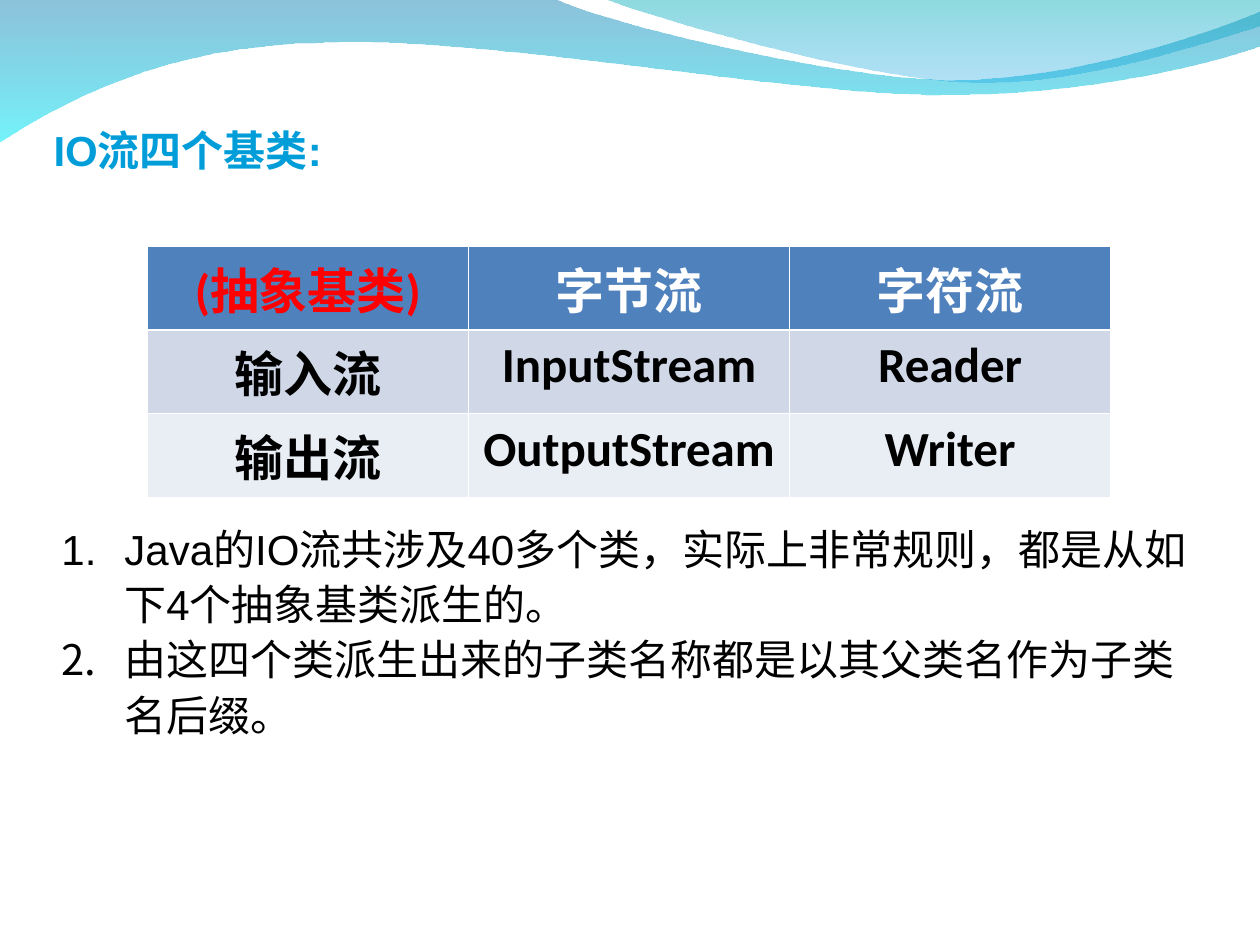
from lxml.etree import SubElement
from pptx import Presentation
from pptx.dml.color import RGBColor
from pptx.enum.text import MSO_AUTO_SIZE as AutoSize, PP_ALIGN as Align
from pptx.oxml.ns import qn
from pptx.util import Cm, Pt

TITLE = "IO流四个基类:"
CLASS_ROWS = [
    ["(抽象基类)", "字节流", "字符流"],
    ["输入流", "InputStream", "Reader"],
    ["输出流", "OutputStream", "Writer"],
]
ROW_FILLS = ["4F81BD", "D0D8E8", "E9EDF4"]
NOTES = [
    "Java的IO流共涉及40多个类，实际上非常规则，都是从如下4个抽象基类派生的。",
    "由这四个类派生出来的子类名称都是以其父类名作为子类名后缀。",
]

# Each segment holds one point (a line) or three points (a cubic curve), in cm.
LONG_WAVE = [
    [(0, -0.03)],
    [(11.18, -0.03)],
    [(12.09, 0.43), (16.87, 1.6), (19.25, 1.6)],
    [(21.67, 1.6), (24.33, 0.66), (25.4, 0.23)],
    [(25.43, 0.91)],
    [(24.97, 1.12), (22.1, 1.93), (18.95, 1.91)],
    [(15.8, 1.91), (9.7, 0.71), (6.53, 0.86)],
    [(3.28, 0.89), (1.17, 2.11), (-0.03, 2.87)],
    [(0, -0.03)],
]
SHORT_WAVE = [
    [(12.17, -0.03)],
    [(12.93, 0.28), (17.32, 1.57), (19.53, 1.65)],
    [(21.74, 1.75), (24.41, 0.81), (25.4, 0.53)],
    [(25.4, 0)],
    [(12.17, -0.03)],
]


def color(code):
    return RGBColor.from_string(code)


def bend(shape, segments):
    """Merge the three lines of every curved segment into one cubic curve."""
    lines = iter(list(shape._element.iter(qn("a:lnTo"))))
    for segment in segments[1:]:
        first, *others = [next(lines) for _ in segment]
        if others:
            curve = first.getparent().makeelement(qn("a:cubicBezTo"))
            first.addprevious(curve)
            for line in (first, *others):
                curve.append(line[0])
                line.getparent().remove(line)


class SlideWriter:
    """Adds styled elements to the current slide."""

    body_font, table_font = "Arial", "Calibri"
    body_size, table_size = 24, 28

    def __init__(self, slide):
        self.slide = slide

    def style(self, para, font, size, code, bold=False):
        for span in para.runs:
            span.font.name = font
            span.font.size = Pt(size)
            span.font.bold = bold
            span.font.color.rgb = color(code)

    def wave(self, segments, *stops):
        """Draw a wave; each stop is a colour and its opacity in percent."""
        points = [(Cm(x), Cm(y)) for segment in segments for x, y in segment]
        builder = self.slide.shapes.build_freeform(*points[0])
        builder.add_line_segments(points[1:], close=True)
        shape = builder.convert_to_shape()
        bend(shape, segments)
        shape.shadow.inherit = False
        shape.line.fill.background()
        shape.fill.gradient()
        shape.fill.gradient_angle = 270
        for stop, (code, _) in zip(shape.fill.gradient_stops, stops):
            stop.color.rgb = color(code)
        nodes = shape._element.spPr.iter(qn("a:srgbClr"))
        for node, (_, opacity) in zip(nodes, stops):
            SubElement(node, qn("a:alpha"), val=str(opacity * 1000))

    def text_box(self, left, top, width, height, lines, code, wrap=True, bold=False):
        box = self.slide.shapes.add_textbox(Cm(left), Cm(top), Cm(width), Cm(height))
        frame = box.text_frame
        frame.word_wrap = wrap
        frame.auto_size = AutoSize.SHAPE_TO_FIT_TEXT
        frame.text = "\n".join(lines)
        for para in frame.paragraphs:
            self.style(para, self.body_font, self.body_size, code, bold)
        return box

    def numbered_list(self, left, top, width, height, lines, code):
        box = self.text_box(left, top, width, height, lines, code)
        for para in box.text_frame.paragraphs:
            para.line_spacing = 1.1
            props = para._p.get_or_add_pPr()
            props.set("marL", str(Cm(1.27)))
            props.set("indent", str(-Cm(1.27)))
            SubElement(SubElement(props, qn("a:buClr")), qn("a:srgbClr"), val=code)
            SubElement(props, qn("a:buAutoNum"), type="arabicPeriod")

    def borders(self, cell, top, bottom):
        props = cell._tc.get_or_add_tcPr()
        for side, width in zip("LRTB", (0.45, 0.45, top, bottom)):
            line = SubElement(props, qn(f"a:ln{side}"), w=str(Pt(width)))
            fill = SubElement(line, qn("a:solidFill"))
            SubElement(fill, qn("a:srgbClr"), val="FFFFFF")

    def table(self, left, top, width, height, rows, fills):
        frame = self.slide.shapes.add_table(len(rows), len(rows[0]), Cm(left), Cm(top),
                                            Cm(width), Cm(height))
        for r, (texts, fill) in enumerate(zip(rows, fills)):
            for c, text in enumerate(texts):
                cell = frame.table.cell(r, c)
                self.borders(cell, 1.47 if r == 1 else 0.45, 1.47 if r == 0 else 0.45)
                cell.fill.solid()
                cell.fill.fore_color.rgb = color(fill)
                cell.text_frame.text = text
                para = cell.text_frame.paragraphs[0]
                para.alignment = Align.CENTER
                para.space_before = Pt(7)
                code = "000000" if r else "FFFFFF" if c else "FF0000"
                self.style(para, self.table_font, self.table_size, code, bold=True)


def main():
    deck = Presentation()
    deck.slide_width, deck.slide_height = Cm(25.4), Cm(19.05)
    writer = SlideWriter(deck.slides.add_slide(deck.slide_layouts[6]))
    writer.wave(LONG_WAVE, ("0079AF", 45), ("00EBF8", 55))
    writer.wave(SHORT_WAVE, ("00ADB6", 45), ("009BE5", 30))
    writer.table(2.97, 4.97, 19.42, 4.4, CLASS_ROWS, ROW_FILLS)
    writer.numbered_list(0.99, 10.32, 23.6, 4.72, NOTES, "000000")
    writer.text_box(0.83, 2.39, 6.32, 1.27, [TITLE], "009DD9", wrap=False, bold=True)
    deck.save("out.pptx")


if __name__ == "__main__":
    main()
